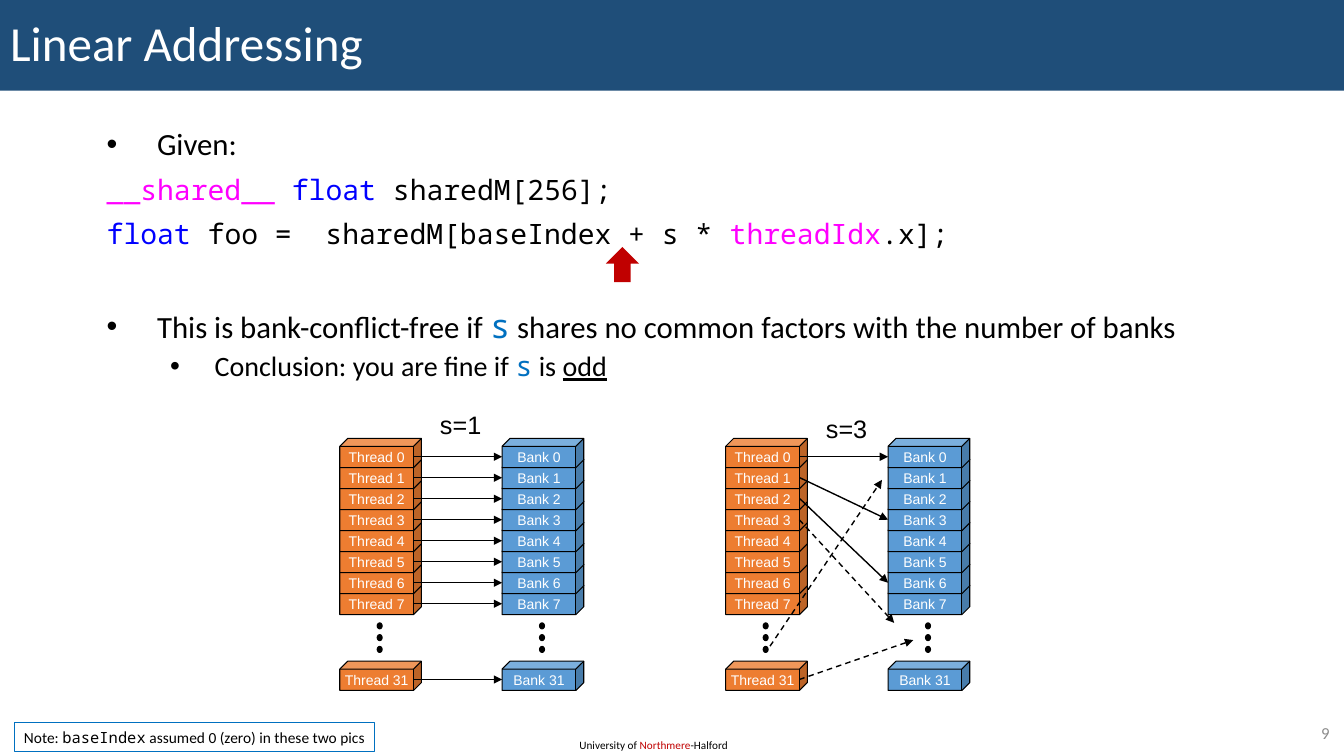
import pptx
import pptx.dml.color
import pptx.enum.dml
import pptx.enum.shapes
import pptx.enum.text
import pptx.oxml
import pptx.oxml.ns
import pptx.util

SHAPE = pptx.enum.shapes.MSO_SHAPE
ALIGN = pptx.enum.text.PP_ALIGN
ANCHOR = pptx.enum.text.MSO_ANCHOR
SANS, LABEL, MONO = "Calibri", "Arial", "Noto Sans Mono"
BLACK, WHITE, NAVY, RED, GREY = "000000", "FFFFFF", "1F4E79", "C00000", "8C8C8C"
MAGENTA, KEYWORD, ACCENT = "FF00FF", "0000FF", "0070C0"
ORANGE, BLUE = "ED7D31", "5B9BD5"

# Grid of 64 columns and 36 rows; towers are measured in the same cells
COLUMNS, ROWS = 64, 36
TOWER_GAP = 7.73
TOWER_TOP, LAST_TOP = 20.88, 31.49
CUBE_WIDTH, CUBE_HEIGHT = 3.89, 1.39
THREADS = 8


def color(value):
    return pptx.dml.color.RGBColor.from_string(value)


def cell_top(index):
    return LAST_TOP if index == 31 else TOWER_TOP + index


def cell_middle(index):
    return cell_top(index) + 0.87


def add_xml(parent, tag, **attributes):
    element = pptx.oxml.parse_xml(f"<{tag} {pptx.oxml.ns.nsdecls('a')}/>")
    for name, value in attributes.items():
        element.set(name, value)
    parent.append(element)


class SlideBuilder:
    def __init__(self, deck):
        self.column = deck.slide_width / COLUMNS
        self.row = deck.slide_height / ROWS
        self.page = deck.slides.add_slide(deck.slide_layouts[5])
        self.shapes = self.page.shapes

    def start_group(self):
        self.shapes = self.page.shapes.add_group_shape().shapes

    def end_group(self):
        self.shapes = self.page.shapes

    def place(self, left, top, width, height):
        return [round(left * self.column), round(top * self.row),
                round(width * self.column), round(height * self.row)]

    def style(self, font, size=None, name=None, fill=None, underline=None):
        if size:
            font.size = pptx.util.Pt(size)
        if name:
            font.name = name
        if fill:
            font.color.rgb = color(fill)
        if underline:
            font.underline = True

    def add_spans(self, para, spans, size, name=SANS, fill=BLACK, align=ALIGN.LEFT):
        """Each span is a text and its differences from the paragraph font."""
        para.alignment = align
        self.style(para.font, size, name, fill)
        for text, changes in spans:
            span = para.add_run()
            span.text = text
            self.style(span.font, **changes)

    def frame(self, box, wrap=True, anchor=ANCHOR.TOP):
        box.text_frame.auto_size = pptx.enum.text.MSO_AUTO_SIZE.NONE
        box.text_frame.word_wrap = wrap
        box.text_frame.vertical_anchor = anchor
        return box.text_frame.paragraphs[0]

    def title(self, text, area):
        box = self.page.shapes.title
        box.left, box.top, box.width, box.height = self.place(*area)
        box.fill.solid()
        box.fill.fore_color.rgb = color(NAVY)
        para = self.frame(box, anchor=ANCHOR.MIDDLE)
        para.line_spacing = 0.9
        self.add_spans(para, [(text, {})], 35, fill=WHITE)

    def text(self, spans, area, size, wrap=True, anchor=ANCHOR.TOP, **style):
        box = self.shapes.add_textbox(*self.place(*area))
        self.add_spans(self.frame(box, wrap, anchor), spans, size, **style)

    def body(self, paragraphs, area):
        box = self.shapes.add_textbox(*self.place(*area))
        para = self.frame(box)
        for index, (spans, size, name, before, bullet) in enumerate(paragraphs):
            if index:
                para = box.text_frame.add_paragraph()
            para.line_spacing = 0.9
            para.space_before = pptx.util.Pt(before)
            if bullet:
                margin, hanging = bullet
                properties = para._p.get_or_add_pPr()
                properties.set("marL", str(pptx.util.Inches(margin)))
                properties.set("indent", str(-pptx.util.Inches(hanging)))
                add_xml(properties, "a:buFont", typeface="Arial")
                add_xml(properties, "a:buChar", char="•")
            self.add_spans(para, spans, size, name)

    def shape(self, kind, area, fill=None, line=None):
        box = self.shapes.add_shape(kind, *self.place(*area))
        box.shadow.inherit = False
        if fill:
            box.fill.solid()
            box.fill.fore_color.rgb = color(fill)
        else:
            box.fill.background()
        if line:
            box.line.color.rgb = color(line)
            box.line.width = pptx.util.Pt(0.75)
        else:
            box.line.fill.background()
        return box

    def arrow(self, left, top, right, bottom, dashed=False):
        ends = self.place(left, top, right, bottom)
        line = self.shapes.add_connector(
            pptx.enum.shapes.MSO_CONNECTOR.STRAIGHT, *ends)
        line.line.color.rgb = color(BLACK)
        line.line.width = pptx.util.Pt(1)
        if dashed:
            line.line.dash_style = pptx.enum.dml.MSO_LINE.DASH
        add_xml(line.line._get_or_add_ln(), "a:tailEnd", type="triangle")
        add_xml(line._element.spPr, "a:effectLst")

    def tower(self, word, left, fill):
        # Bottom cube first, so that each one covers the top of the next
        for index in [31, *reversed(range(THREADS))]:
            area = (left, cell_top(index), CUBE_WIDTH, CUBE_HEIGHT)
            cube = self.shape(SHAPE.CUBE, area, fill, BLACK)
            cube.adjustments[0] = 0.27
            para = self.frame(cube, wrap=False, anchor=ANCHOR.MIDDLE)
            frame = cube.text_frame
            frame.margin_top = frame.margin_bottom = 0
            self.add_spans(para, [(f"{word} {index}", {})], 10, LABEL, WHITE, ALIGN.CENTER)
        for dot in range(3):
            area = (left + 1.78, 29.66 + 0.56 * dot, 0.24, 0.29)
            self.shape(SHAPE.OVAL, area, BLACK, BLACK)

    def diagram(self, left, label, label_top, links, dashed_links=()):
        self.start_group()
        self.tower("Bank", left + TOWER_GAP, BLUE)
        self.tower("Thread", left, ORANGE)
        for thread, bank in links:
            self.arrow(left + 3.53, cell_middle(thread),
                       left + TOWER_GAP, cell_middle(bank))
        for start, top, end, bottom in dashed_links:
            self.arrow(left + start, top, left + end, bottom, dashed=True)
        self.text([(label, {})], (left + 4.3, label_top, 2.93, 1.92), 18,
                  wrap=False, name=LABEL)
        self.end_group()


def main():
    deck = pptx.Presentation()
    deck.slide_width = pptx.util.Inches(13.33)
    deck.slide_height = pptx.util.Inches(7.5)
    slide = SlideBuilder(deck)

    # Title band and footer
    slide.title("Linear Addressing", (0, 0, COLUMNS, 4.32))
    slide.text([("University of ", {}), ("Northmere", {"fill": RED}), ("-Halford", {})],
               (27.12, 34.94, 8.26, 1.15), 8, wrap=False)

    # Code and conclusions
    variable = {"name": MONO, "fill": ACCENT}
    bullet = (0.5, 0.5)
    slide.body([
        ([("Given:", {})], 22, SANS, 10, bullet),
        ([("__shared__ ", {"fill": MAGENTA}), ("float ", {"fill": KEYWORD}),
          ("sharedM[256];", {})], 20, MONO, 10, None),
        ([("float", {"fill": KEYWORD}), (" foo =  sharedM[baseIndex + s * ", {}),
          ("threadIdx", {"fill": MAGENTA}), (".x];", {})], 20, MONO, 10, None),
        ([("This is bank-conflict-free if ", {}), ("s", {"size": 24, **variable}),
          (" shares no common factors with the number of banks", {})],
         22, SANS, 42, bullet),
        ([("Conclusion: you are fine if ", {}), ("s", variable), (" is ", {}),
          ("odd", {"underline": True})], 20, SANS, 5, (1.07, 0.44)),
    ], (4.61, 5.9, 57.12, 14.4))

    # Thread-to-bank diagrams for stride 3 and stride 1
    slide.diagram(34.56, "s=3", 19.44, [(thread, 3 * thread) for thread in range(3)], [
        (3.5, cell_middle(3), 8.02, 29.66),
        (2.11, 30.77, 7.44, 22.85),
        (3.5, cell_middle(31), 8.93, 30.48),
    ])
    slide.diagram(16.18, "s=1", 19.25,
                  [(thread, thread) for thread in [*range(THREADS), 31]])

    # Page number, pointer to the index expression, and note
    slide.text([("9", {})], (60.14, 34.22, 3.65, 1.39), 12, anchor=ANCHOR.MIDDLE,
               fill=GREY, align=ALIGN.RIGHT)
    slide.shape(SHAPE.UP_ARROW, (28.85, 11.76, 1.58, 1.68), RED)
    note = slide.shape(SHAPE.RECTANGLE, (0.67, 34.42, 17.18, 1.39), line=ACCENT)
    slide.add_spans(slide.frame(note, wrap=False),
                    [("Note: ", {}), ("baseIndex", {"name": MONO}),
                     (" assumed 0 (zero) in these two pics", {})], 11)

    deck.save("out.pptx")


if __name__ == "__main__":
    main()
